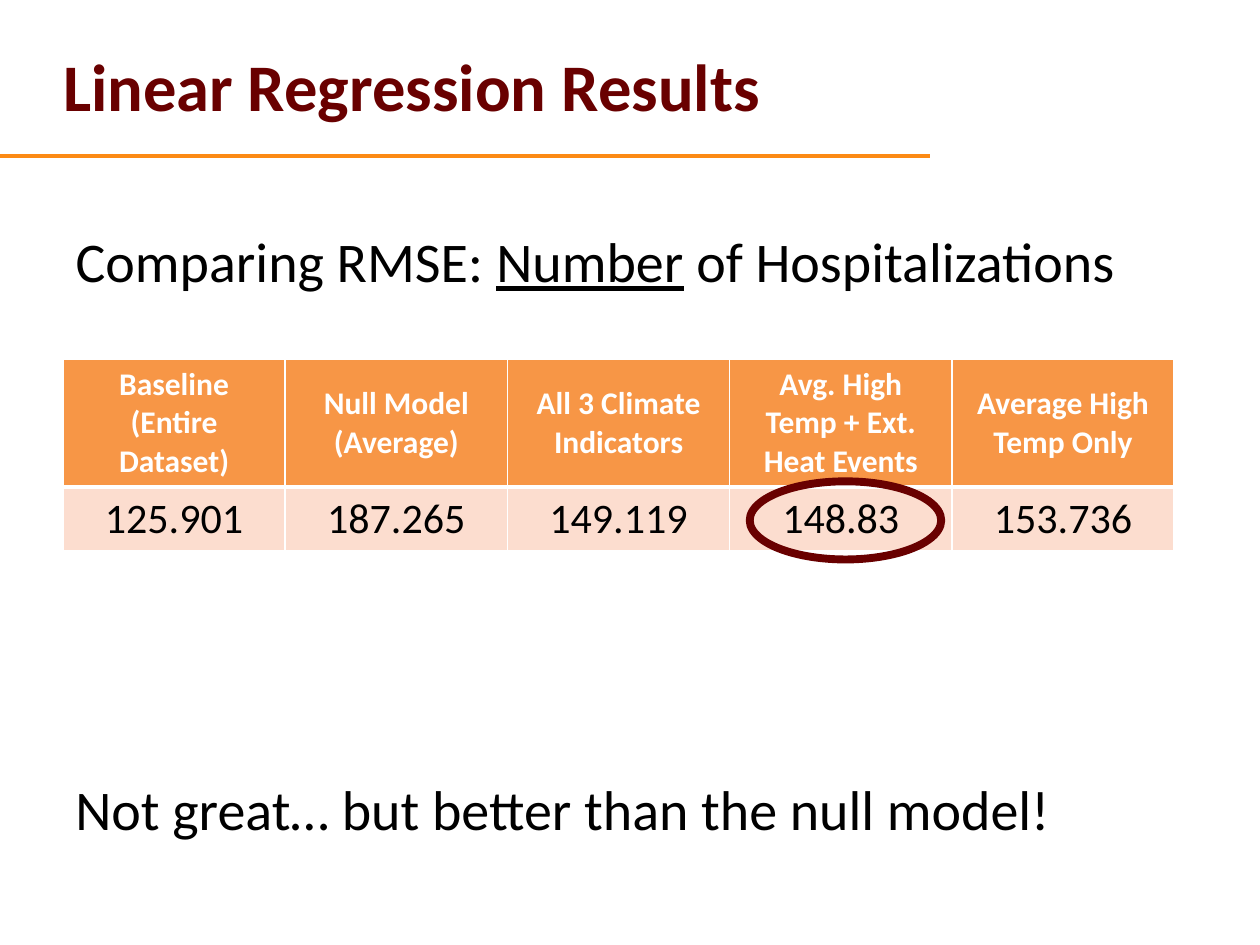
from lxml import etree
from pptx import Presentation, util as u
from pptx.dml import color
from pptx.enum import shapes, text
from pptx.oxml import ns

DARK, ORANGE, WHITE, BLACK = "690000", "FC8A15", "FFFFFF", "000000"
HEADS = [
    "Baseline\n(Entire Dataset)",
    "Null Model (Average)",
    "All 3 Climate Indicators",
    "Avg. High Temp + Ext. Heat Events",
    "Average High Temp Only",
]
SCORES = ["125.901", "187.265", "149.119", "148.83", "153.736"]
BODY = dict(size=u.Pt(32), bold=False)
TITLE = dict(size=u.Pt(38), bold=True)
HEAD = dict(size=u.Pt(18), bold=True)
SCORE = dict(size=u.Pt(24), bold=False)


def rgb(code):
    return color.RGBColor.from_string(code)


def inches(box):
    return [u.Inches(n) for n in box]


def place(shape, box):
    for name, size in zip(("left", "top", "width", "height"), inches(box)):
        setattr(shape, name, size)


def style(font, tone, form):
    for name, value in dict(form, name="Calibri").items():
        setattr(font, name, value)
    font.color.rgb = rgb(tone)


def write(frame, parts, tone, form, anchor=text.MSO_ANCHOR.TOP):
    frame.word_wrap = True
    frame.auto_size = text.MSO_AUTO_SIZE.NONE
    frame.vertical_anchor = anchor
    para = frame.paragraphs[0]
    para.alignment = text.PP_ALIGN.LEFT
    para.space_before = u.Pt(0)
    for words, under in parts:
        run = para.add_run()
        run.text = words
        style(run.font, tone, form)
        if under:
            run.font.underline = True
    return para


def add_title(slide, box):
    title = slide.shapes.title
    place(title, box)
    write(title.text_frame, [("Linear Regression Results", False)],
          DARK, TITLE, text.MSO_ANCHOR.MIDDLE)


def add_rule(slide, box):
    left, top, width, height = inches(box)
    rule = slide.shapes.add_connector(
        shapes.MSO_CONNECTOR.STRAIGHT, left, top, left + width, top + height)
    rule.line.color.rgb = rgb(ORANGE)
    rule.line.width = u.Pt(2.25)
    etree.SubElement(rule._element.spPr, ns.qn("a:effectLst"))


def add_lead(slide, box):
    lead = slide.placeholders[1]
    place(lead, box)
    parts = [("Comparing RMSE: ", False), ("Number", True),
             (" of Hospitalizations", False)]
    para = write(lead.text_frame, parts, BLACK, BODY)
    props = para._p.get_or_add_pPr()
    props.set("marL", "0")
    props.set("indent", "0")
    etree.SubElement(props, ns.qn("a:buNone"))


def add_note(slide, box):
    note = slide.shapes.add_textbox(*inches(box))
    write(note.text_frame,
          [("Not great… but better than the null model!", False)], BLACK, BODY)


def edge(cell, widths):
    props = cell._tc.get_or_add_tcPr()
    for spot, (side, width) in enumerate(widths.items()):
        line = etree.Element(ns.qn("a:ln" + side), w=str(u.Pt(width)))
        fill = etree.SubElement(line, ns.qn("a:solidFill"))
        etree.SubElement(fill, ns.qn("a:srgbClr"), val=WHITE)
        props.insert(spot, line)


def add_scores(slide, box):
    table = slide.shapes.add_table(2, len(HEADS), *inches(box)).table
    rows = [
        (HEADS, 1, "F79646", WHITE, HEAD, dict(L=1, R=1, T=1, B=3)),
        (SCORES, 0.5, "FCDDCF", BLACK, SCORE, dict(L=1, R=1, T=3, B=1)),
    ]
    for row, (words, height, fill, tone, form, widths) in enumerate(rows):
        table.rows[row].height = u.Inches(height)
        for col, word in enumerate(words):
            cell = table.cell(row, col)
            cell.text = word
            cell.vertical_anchor = text.MSO_ANCHOR.MIDDLE
            cell.fill.solid()
            cell.fill.fore_color.rgb = rgb(fill)
            edge(cell, widths)
            for para in cell.text_frame.paragraphs:
                para.alignment = text.PP_ALIGN.CENTER
                for run in para.runs:
                    style(run.font, tone, form)


def add_ring(slide, box):
    ring = slide.shapes.add_shape(shapes.MSO_SHAPE.OVAL, *inches(box))
    ring.shadow.inherit = False
    ring.fill.background()
    ring.line.color.rgb = rgb(DARK)
    ring.line.width = u.Pt(4.5)


def main():
    deck = Presentation()
    deck.slide_width, deck.slide_height = inches((10, 7.5))
    slide = deck.slides.add_slide(deck.slide_layouts[1])
    add_title(slide, (0.4, 0.14, 9.49, 1.07))
    add_rule(slide, (0, 1.24, 7.38, 0))
    add_lead(slide, (0.5, 1.75, 9, 0.83))
    add_scores(slide, (0.5, 2.85, 8.82, 1.5))
    add_ring(slide, (5.95, 3.82, 1.52, 0.62))
    add_note(slide, (0.5, 6.1, 9, 0.83))
    deck.save("out.pptx")


if __name__ == "__main__":
    main()
